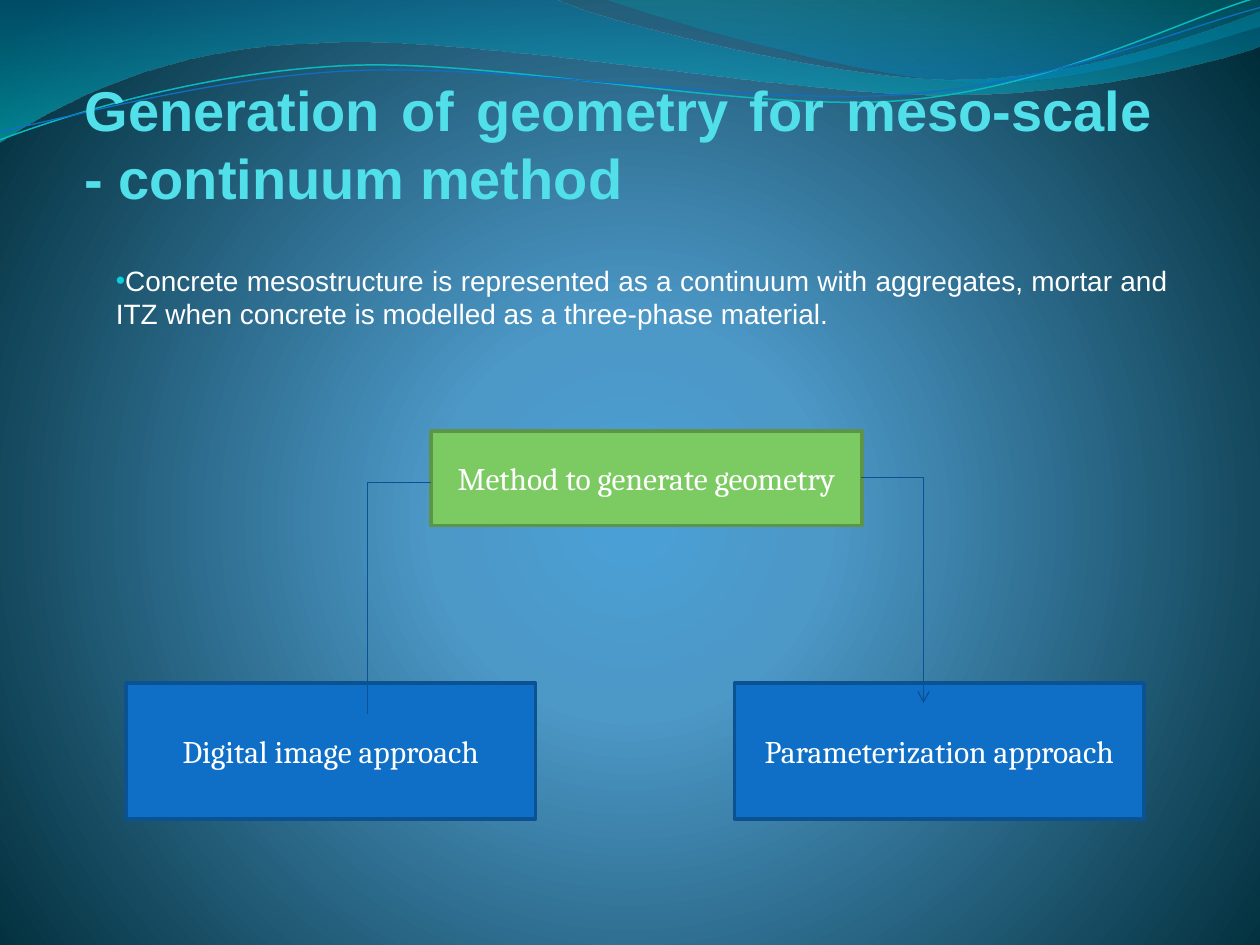
from math import cos, radians, sin

from pptx import Presentation
from pptx.dml.color import RGBColor
from pptx.enum.shapes import MSO_CONNECTOR, MSO_SHAPE
from pptx.enum.text import MSO_ANCHOR, MSO_AUTO_SIZE, PP_ALIGN
from pptx.oxml import parse_xml
from pptx.oxml.ns import nsdecls, qn
from pptx.util import Inches, Pt

TITLE = "Generation of geometry for meso-scale - continuum method"
BODY = ("Concrete mesostructure is represented as a continuum with aggregates, "
        "mortar and ITZ when concrete is modelled as a three-phase material.")
BACK = [(0, "4AA0D6", 100), (25, "4C98C7", 100), (100, "002C38", 100)]
GLOW = ('<a:path path="circle"><a:fillToRect l="10000" t="110000" '
        'r="10000" b="100000"/></a:path>')
DOWN = '<a:lin ang="5400000" scaled="1"/>'
TILT = 357.3

BANDS = [
    ((-0.01, -0.01, 10.02, 1.14),
     [(0, 0), (4.4, -0.01),
      (4.76, 0.17, 6.64, 0.63, 7.58, 0.63), (8.53, 0.63, 9.58, 0.26, 10, 0.09),
      (10.01, 0.36),
      (9.83, 0.44, 8.7, 0.76, 7.46, 0.75), (6.22, 0.75, 3.82, 0.28, 2.57, 0.34),
      (1.29, 0.36, 0.46, 0.83, -0.01, 1.13), (0, 0)],
     [(0, "0074A1", 45), (100, "00C6CF", 55)]),
    ((4.79, -0.01, 5.21, 0.7),
     [(4.79, -0.01),
      (5.09, 0.11, 6.82, 0.62, 7.69, 0.65), (8.56, 0.69, 9.61, 0.32, 10, 0.21),
      (10, 0), (4.79, -0.01)],
     [(0, "00A1A9", 30), (80, "008BBF", 45)]),
]
WAVES = [
    ((-0.02, 0.22, 10.02, 0.71),
     [(0, 1.11), (0.48, 0.93, 1.58, 0.57, 2.77, 0.52),
      (3.95, 0.47, 5.93, 0.89, 7.13, 0.8), (8.33, 0.71, 9.38, 0.15, 9.98, -0.02)],
     "0AB8BF", 0.85),
    ((-0.02, 0.3, 10.03, 0.58),
     [(0, 1.04), (0.47, 0.96, 1.64, 0.61, 2.83, 0.56),
      (4.03, 0.51, 5.97, 0.84, 7.17, 0.75), (8.36, 0.67, 9.41, 0.21, 10, 0.06)],
     "0F6FC6", 0.75),
]
BOXES = [
    ("Method to generate geometry", (3.42, 3.42, 3.42, 0.75), "7CCA62", "5C9549"),
    ("Digital image approach", (1, 5.42, 3.25, 1.08), "0F6FC6", "0B5292"),
    ("Parameterization approach", (5.83, 5.42, 3.25, 1.08), "0F6FC6", "0B5292"),
]
LINKS = [((3.42, 3.83, 2.92, 5.67), False), ((6.83, 3.79, 7.33, 5.58), True)]


def tint(code):
    return RGBColor.from_string(code)


def blend(host, stops, way):
    marks = "".join(
        f'<a:gs pos="{pos * 1000}"><a:srgbClr val="{code}">'
        f'<a:alpha val="{alpha * 1000}"/></a:srgbClr></a:gs>'
        for pos, code, alpha in stops)
    old = next(host.iter(qn("a:gradFill")))
    old.getparent().replace(old, parse_xml(
        f'<a:gradFill {nsdecls("a")} rotWithShape="1">'
        f'<a:gsLst>{marks}</a:gsLst>{way}</a:gradFill>'))


def draw(area, parts, closed, turn=0):
    x, y, wide, high = area
    pen = shapes.build_freeform(Inches(x), Inches(y))
    pen.add_line_segments([(Inches(x + wide), Inches(y + high))], close=closed)
    shape = pen.convert_to_shape()
    shape.shadow.inherit = False
    shape.rotation = turn
    c, s = cos(radians(turn)), sin(radians(turn))

    def dot(px, py):
        dx, dy = px - x - wide / 2, py - y - high / 2
        return (f'<a:pt x="{Inches(wide / 2 + dx * c + dy * s)}" '
                f'y="{Inches(high / 2 - dx * s + dy * c)}"/>')

    steps = ""
    for i, part in enumerate(parts):
        name = "moveTo" if i == 0 else "lnTo" if len(part) == 2 else "cubicBezTo"
        dots = "".join(dot(*pair) for pair in zip(part[::2], part[1::2]))
        steps += f"<a:{name}>{dots}</a:{name}>"
    if closed:
        steps += "<a:close/>"
    old = next(shape._element.iter(qn("a:path")))
    old.getparent().replace(old, parse_xml(
        f'<a:path {nsdecls("a")} w="{Inches(wide)}" h="{Inches(high)}">{steps}</a:path>'))
    return shape


def edge(shape, code, width):
    shape.line.color.rgb = tint(code)
    shape.line.width = Pt(width)


def put(shape, text, size=18, font="Cambria", color="FFFFFF", bold=False,
        align=PP_ALIGN.CENTER, anchor=MSO_ANCHOR.MIDDLE, inset=(0.1, 0.05, 0.1, 0.05)):
    frame = shape.text_frame
    frame.word_wrap = True
    frame.auto_size = MSO_AUTO_SIZE.NONE
    frame.vertical_anchor = anchor
    (frame.margin_left, frame.margin_top,
     frame.margin_right, frame.margin_bottom) = map(Inches, inset)
    para = frame.paragraphs[0]
    para.alignment = align
    para.space_before = Pt(0)
    run = para.add_run()
    run.text = text
    run.font.size, run.font.name, run.font.bold = Pt(size), font, bold
    run.font.color.rgb = tint(color)
    return para


def place(shape, *area):
    shape.left, shape.top, shape.width, shape.height = map(Inches, area)
    shapes._spTree.append(shape._element)


deck = Presentation()
deck.slide_width, deck.slide_height = Inches(10), Inches(7.5)
slide = deck.slides.add_slide(deck.slide_layouts[0])
shapes = slide.shapes
slide.background.fill.gradient()
blend(slide._element, BACK, GLOW)

for area, parts, stops in BANDS:
    band = draw(area, parts, True)
    band.fill.gradient()
    blend(band._element, stops, DOWN)
    band.line.fill.background()

for area, parts, code, width in WAVES:
    wave = draw(area, parts, False, TILT)
    wave.fill.background()
    edge(wave, code, width)

title, body = slide.placeholders
place(title, 0.67, 0.5, 8.5, 1.17)
put(title, TITLE, size=32, font="Arial", color="51E0EA", bold=True,
    align=PP_ALIGN.JUSTIFY, anchor=MSO_ANCHOR.BOTTOM, inset=(0, 0, 0.02, 0))
place(body, 0.92, 1.67, 8.42, 5.25)
para = put(body, BODY, size=16, font="Arial", align=PP_ALIGN.JUSTIFY,
           anchor=MSO_ANCHOR.TOP, inset=(0, 0.42, 0.02, 0.05))
props = para._p.get_or_add_pPr()
for name, size in (("marL", 0), ("marR", 0.05), ("indent", 0)):
    props.set(name, str(Inches(size)))
for mark in ('buClr {}><a:srgbClr val="0BD0D9"/></a:buClr>',
             'buSzPct {} val="95000"/>', 'buFont {} typeface="Arial"/>',
             'buChar {} char="•"/>'):
    props.append(parse_xml("<a:" + mark.format(nsdecls("a"))))

for text, area, fill, line in BOXES:
    box = shapes.add_shape(MSO_SHAPE.RECTANGLE, *map(Inches, area))
    box.shadow.inherit = False
    box.fill.solid()
    box.fill.fore_color.rgb = tint(fill)
    edge(box, line, 2)
    put(box, text)

for ends, arrow in LINKS:
    link = shapes.add_connector(MSO_CONNECTOR.ELBOW, *map(Inches, ends))
    edge(link, "095295", 0.75)
    form = link._element.spPr
    form.find(qn("a:prstGeom")).set("prst", "bentConnector2")
    if arrow:
        form.find(qn("a:ln")).append(
            parse_xml(f'<a:tailEnd {nsdecls("a")} type="arrow"/>'))
    form.append(parse_xml(f'<a:effectLst {nsdecls("a")}/>'))

deck.save("out.pptx")
